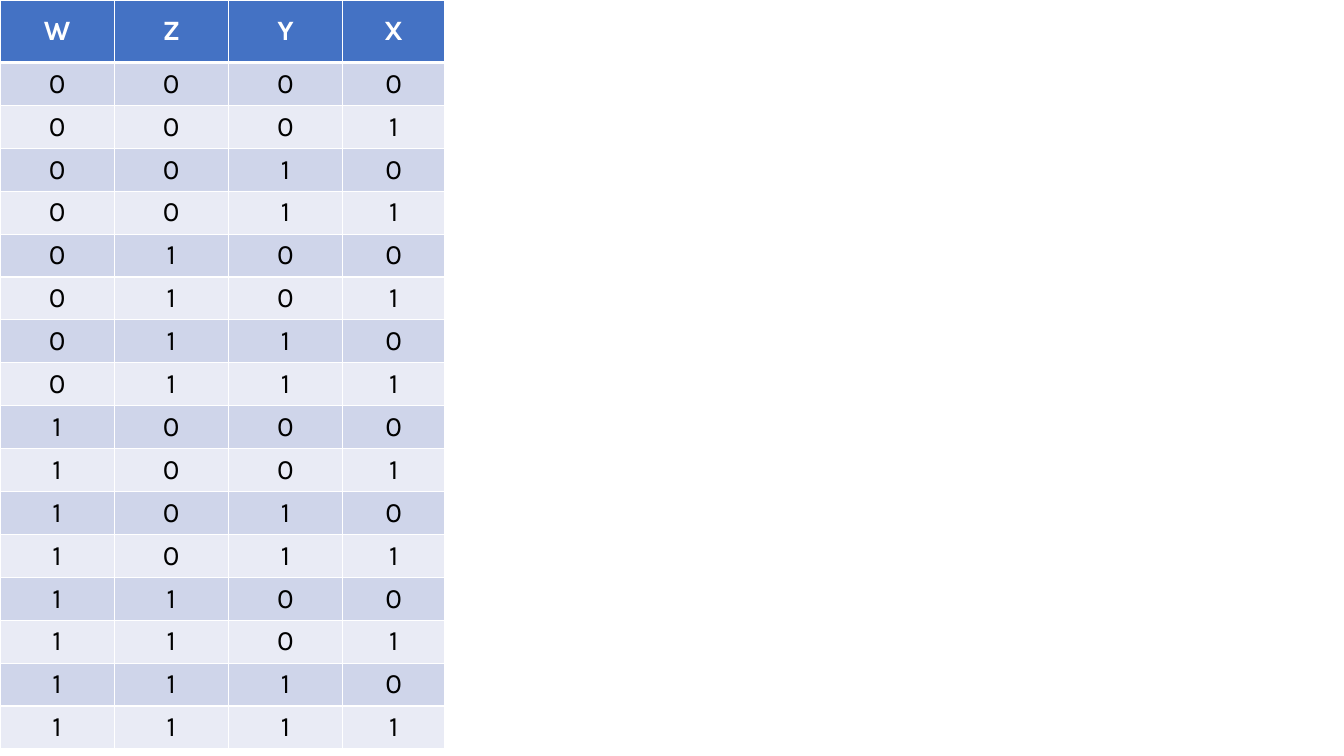
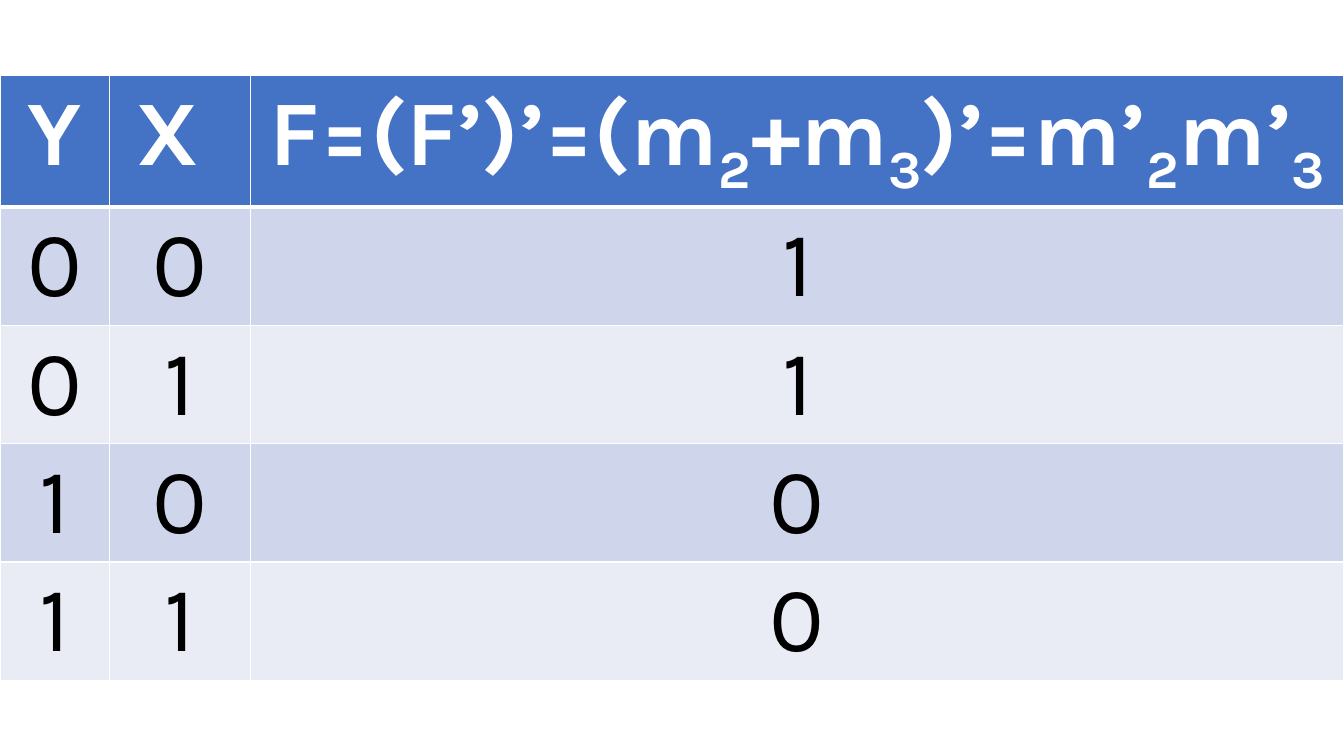
from itertools import product

from lxml import etree
from pptx import Presentation
from pptx.dml.color import RGBColor
from pptx.enum import text
from pptx.oxml import ns
from pptx.util import Inches, Pt

# Shared look
FONT = "Karla"
WHITE = RGBColor(0xFF, 0xFF, 0xFF)
BLACK = RGBColor(0x00, 0x00, 0x00)
HEADER_BLUE = RGBColor(0x44, 0x72, 0xC4)
BANDS = (RGBColor(0xCF, 0xD5, 0xEA), RGBColor(0xE9, 0xEB, 0xF5))
THIN, THICK = Pt(1), Pt(3)

SLIDE_WIDTH, SLIDE_HEIGHT = Inches(13.333), Inches(7.5)


def across(percent):
    return round(SLIDE_WIDTH * percent / 100)


def down(percent):
    return round(SLIDE_HEIGHT * percent / 100)


def set_borders(cell, top, bottom):
    """Give a cell white borders; they must precede its fill."""
    properties = cell._tc.get_or_add_tcPr()
    widths = {"a:lnL": THIN, "a:lnR": THIN, "a:lnT": top, "a:lnB": bottom}
    for position, (tag, width) in enumerate(widths.items()):
        line = etree.Element(ns.qn(tag), w=str(int(width)))
        fill = etree.SubElement(line, ns.qn("a:solidFill"))
        etree.SubElement(fill, ns.qn("a:srgbClr"), val=str(WHITE))
        properties.insert(position, line)


def write_cell(cell, pieces, size, color, bold):
    """Write the pieces as runs; every second piece is a subscript."""
    paragraph = cell.text_frame.paragraphs[0]
    paragraph.alignment = text.PP_ALIGN.CENTER
    for index, piece in enumerate(pieces):
        run = paragraph.add_run()
        run.text = piece
        run.font.name, run.font.size = FONT, Pt(size)
        run.font.bold = bold
        run.font.color.rgb = color
        if index % 2:
            run._r.get_or_add_rPr().set("baseline", "-25000")


def add_truth_table(slide, headings, rows, top, columns, header_height,
                    row_height, size, anchor):
    """Add a table at the left edge; lengths are percentages of the slide."""
    heights = [header_height] + [row_height] * len(rows)
    table = slide.shapes.add_table(
        len(heights), len(columns), 0, down(top),
        across(sum(columns)), down(sum(heights))).table
    for column, width in zip(table.columns, columns):
        column.width = across(width)
    for row, height in zip(table.rows, heights):
        row.height = down(height)

    for row_index, values in enumerate([headings] + rows):
        is_header = row_index == 0
        for column_index, pieces in enumerate(values):
            cell = table.cell(row_index, column_index)
            cell.vertical_anchor = anchor
            cell.fill.solid()
            cell.fill.fore_color.rgb = (
                HEADER_BLUE if is_header else BANDS[(row_index - 1) % 2])
            set_borders(cell, THICK if row_index == 1 else THIN,
                        THICK if is_header else THIN)
            write_cell(cell, pieces, size, WHITE if is_header else BLACK,
                       is_header)
    return table


def add_blank_slide(presentation):
    return presentation.slides.add_slide(presentation.slide_layouts[6])


def add_input_slide(presentation):
    """All combinations of four inputs."""
    headings = [[name] for name in "WZYX"]
    rows = [[[bit] for bit in bits] for bits in product("01", repeat=4)]
    table = add_truth_table(
        add_blank_slide(presentation), headings, rows, top=0,
        columns=[8.5, 8.5, 8.5, 7.6], header_height=8.27, row_height=5.67,
        size=20, anchor=text.MSO_ANCHOR.MIDDLE)
    for cell in table.rows[0].cells:
        cell.margin_top = cell.margin_bottom = 0


def add_function_slide(presentation):
    """The function F of two inputs, with minterm subscripts."""
    formula = ["F=(F’)’=(m", "2", "+m", "3", ")’=m’", "2", "m’", "3"]
    rows = [[[y], [x], [result]]
            for (y, x), result in zip(product("01", repeat=2), "1100")]
    add_truth_table(
        add_blank_slide(presentation), [["Y"], ["X "], formula], rows, top=10,
        columns=[8.15, 10.5, 81.35], header_height=17.4, row_height=15.65,
        size=66, anchor=text.MSO_ANCHOR.TOP)


def main():
    presentation = Presentation()
    presentation.slide_width = SLIDE_WIDTH
    presentation.slide_height = SLIDE_HEIGHT
    add_input_slide(presentation)
    add_function_slide(presentation)
    presentation.save("out.pptx")


if __name__ == "__main__":
    main()
